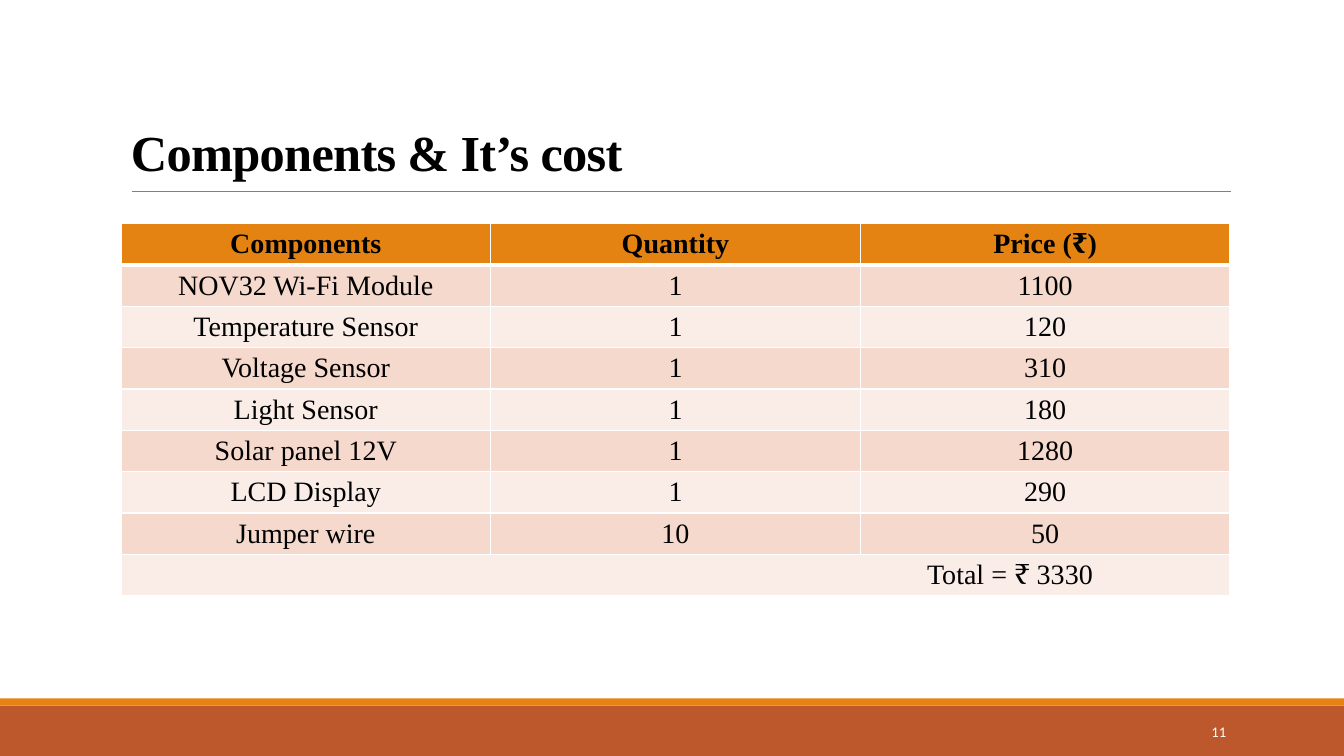
"""Build the slide listing the project components and their cost."""
import pptx
import pptx.dml.color
import pptx.enum.shapes
import pptx.enum.text
import pptx.oxml
import pptx.oxml.ns
import pptx.util

Inches, Pt = pptx.util.Inches, pptx.util.Pt
RGB = pptx.dml.color.RGBColor.from_string
ALIGN = pptx.enum.text.PP_ALIGN
ANCHOR = pptx.enum.text.MSO_ANCHOR
SERIF = "Times New Roman"
COLORS = {"rust": "BD582C", "orange": "E48312", "rule": "808080", "text": "000000",
          "white": "FFFFFF", "band_dark": "F5D9CC", "band_light": "FAEDE7"}
ROWS = [
    ("Components", "Quantity", "Price (₹)"),
    ("NOV32 Wi-Fi Module", "1", "1100"),
    ("Temperature Sensor", "1", "120"),
    ("Voltage Sensor", "1", "310"),
    ("Light Sensor", "1", "180"),
    ("Solar panel 12V", "1", "1280"),
    ("LCD Display", "1", "290"),
    ("Jumper wire", "10", "50"),
    ("Total = ₹ 3330", "", ""),
]


def write(tf, text, size, color, font=SERIF, bold=False, align=ALIGN.LEFT):
    tf.text = text
    p = tf.paragraphs[0]
    p.alignment = align
    for r in p.runs:
        r.font.size = Pt(size)
        r.font.name = font
        r.font.bold = bold
        r.font.color.rgb = RGB(COLORS[color])
    return p


def set_borders(cell, bottom):
    for side in ("L", "R", "T", "B"):
        width = Pt(bottom if side == "B" else 1)
        cell._tc.get_or_add_tcPr().append(pptx.oxml.parse_xml(
            f'<a:ln{side} {pptx.oxml.ns.nsdecls("a")} w="{width}"><a:solidFill>'
            f'<a:srgbClr val="{COLORS["white"]}"/></a:solidFill></a:ln{side}>'))


prs = pptx.Presentation()
prs.slide_width, prs.slide_height = Inches(13.33), Inches(7.5)
s = prs.slides.add_slide(prs.slide_layouts[6])

for top, height, color in ((7, 0.5, "rust"), (6.93, 0.07, "orange")):
    sp = s.shapes.add_shape(pptx.enum.shapes.MSO_SHAPE.RECTANGLE,
                            0, Inches(top), prs.slide_width, Inches(height))
    sp.shadow.inherit = False
    sp.fill.solid()
    sp.fill.fore_color.rgb = RGB(COLORS[color])
    sp.line.fill.background()

rule = s.shapes.add_connector(pptx.enum.shapes.MSO_CONNECTOR.STRAIGHT,
                              Inches(1.31), Inches(1.9), Inches(12.21), Inches(1.9))
rule.line.color.rgb = RGB(COLORS["rule"])
rule.line.width = Pt(0.5)
rule._element.spPr.append(pptx.oxml.parse_xml(
    f'<a:effectLst {pptx.oxml.ns.nsdecls("a")}/>'))

tf = s.shapes.add_textbox(Inches(1.2), Inches(0.26), Inches(11), Inches(1.59)).text_frame
tf.word_wrap = True
tf.vertical_anchor = ANCHOR.BOTTOM
p = write(tf, "Components & It’s cost", 36, "text", bold=True)
p.line_spacing = 0.85
p.runs[0].font._element.set("spc", "-50")

table = s.shapes.add_table(len(ROWS), 3, Inches(1.2), Inches(2.22),
                           Inches(11), Inches(0.41 * len(ROWS))).table
for i, values in enumerate(ROWS):
    table.rows[i].height = Inches(0.41)
    fill = "orange" if i == 0 else "band_dark" if i % 2 else "band_light"
    for j, value in enumerate(values):
        cell = table.cell(i, j)
        set_borders(cell, 3 if i == 0 else 1)
        cell.margin_bottom = Inches(0.02)
        cell.fill.solid()
        cell.fill.fore_color.rgb = RGB(COLORS[fill])
        write(cell.text_frame, value, 20, "text", bold=i == 0, align=ALIGN.CENTER)

total = table.cell(len(ROWS) - 1, 0)
total.merge(table.cell(len(ROWS) - 1, 2))
total.margin_right = Inches(1.36)
total.text_frame.paragraphs[0].alignment = ALIGN.RIGHT

tf = s.shapes.add_textbox(Inches(10.83), Inches(7.06), Inches(1.43), Inches(0.4)).text_frame
tf.word_wrap = True
tf.vertical_anchor = ANCHOR.MIDDLE
write(tf, "11", 10.5, "white", font="Calibri", align=ALIGN.RIGHT)

prs.save("out.pptx")
